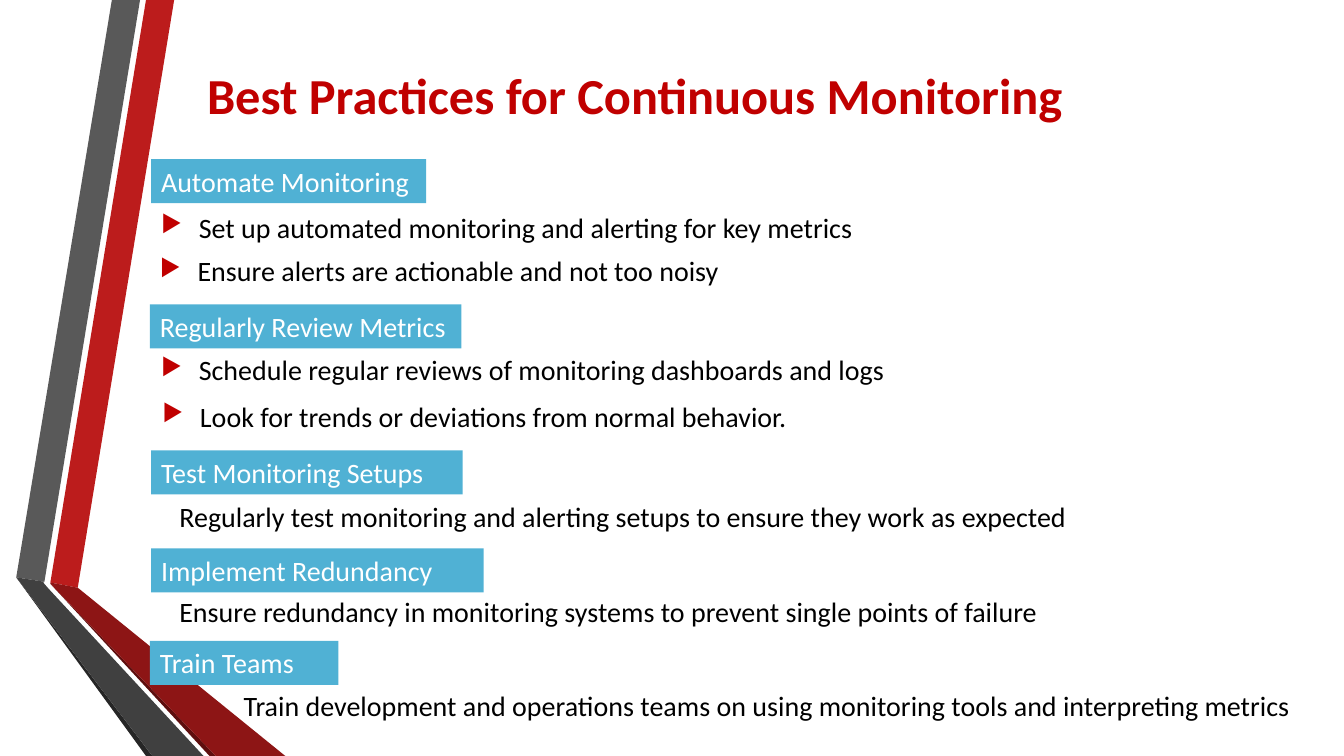
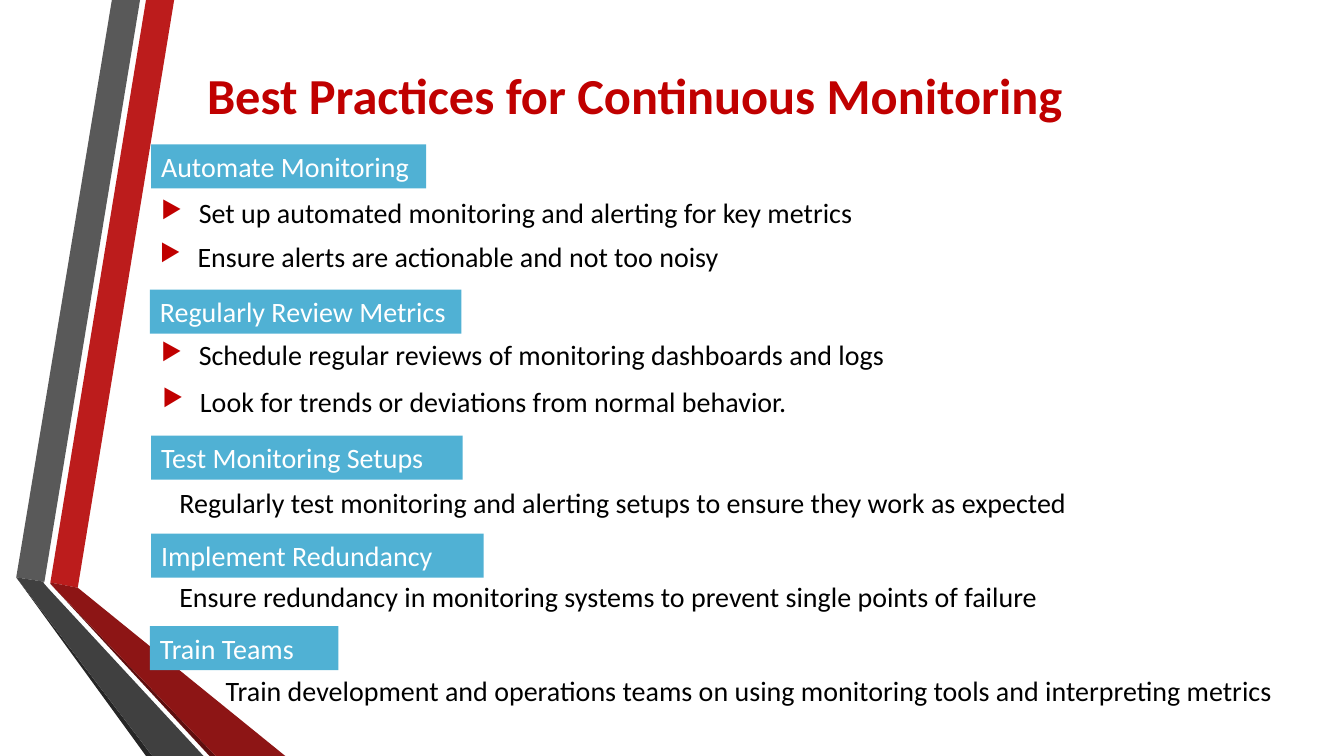
from lxml import etree
from pptx import Presentation
from pptx import util as u
from pptx.dml.color import RGBColor
from pptx.enum import shapes, text
from pptx.oxml.ns import qn

# Shared style, lengths in cm
FONT = "Calibri"
RED, BLUE, WHITE, BLACK = "C00000", "50B1D4", "FFFFFF", "000000"
TITLE = "Best Practices for Continuous Monitoring"
ROW_HEIGHT = 1.11
BULLET_INDENT = 0.95

# Ribbon bands on the left edge: colour and corner points
RIBBON = [
    ("BC1C1C", [(1.27, 14.68), (1.96, 14.81), (4.39, 0), (3.68, 0)]),
    ("595959", [(3.53, 0), (2.82, 0), (0.41, 14.55), (1.12, 14.66)]),
    ("262626", [(0.41, 14.55), (3.68, 19.05), (3.84, 19.05)]),
    ("5E0E0E", [(1.27, 14.71), (5.28, 19.05), (5.44, 19.05)]),
    ("8D1515", [(1.27, 14.68), (1.27, 14.71), (5.44, 19.05),
                (7.19, 19.05), (1.96, 14.81)]),
    ("404040", [(5.13, 19.05), (1.22, 14.83), (1.09, 14.68),
                (1.12, 14.66), (0.41, 14.55), (3.84, 19.05)]),
]

# Section labels and body lines: left, top, width, wording
LABELS = [
    (3.81, 4.01, 6.93, "Automate Monitoring"),
    (3.78, 7.67, 7.85, "Regularly Review Metrics"),
    (3.81, 11.35, 7.85, "Test Monitoring Setups"),
    (3.81, 13.82, 8.38, "Implement Redundancy"),
    (3.78, 16.15, 4.75, "Train Teams"),
]
BULLETS = [
    (3.81, 5.18, 18.29, "Set up automated monitoring and alerting for key metrics"),
    (3.78, 6.27, 14.78, "Ensure alerts are actionable and not too noisy"),
    (3.81, 8.76, 19.05, "Schedule regular reviews of monitoring dashboards and logs"),
    (3.84, 9.93, 16.48, "Look for trends or deviations from normal behavior."),
]
PLAIN_LINES = [
    (4.27, 12.47, 23.5, "Regularly test monitoring and alerting setups to ensure "
                        "they work as expected"),
    (4.27, 14.86, 22.56, "Ensure redundancy in monitoring systems to prevent "
                         "single points of failure"),
]
TRAINING_TOP, TRAINING_WIDTH = 17.22, 27.41
TRAINING = ("Train development and operations teams on using monitoring tools "
            "and interpreting metrics")

# Per slide: upward shift of the content, left edge of the training line
SLIDES = [(0, 5.89), (0.37, 5.44)]


def color(value):
    return RGBColor.from_string(value)


def paint(shape, fill):
    shape.fill.solid()
    shape.fill.fore_color.rgb = color(fill)
    shape.line.fill.background()
    shape.shadow.inherit = False


def write(box, words, ink, size=20, bold=False):
    frame = box.text_frame
    frame.word_wrap = True
    frame.vertical_anchor = text.MSO_ANCHOR.TOP
    frame.auto_size = text.MSO_AUTO_SIZE.SHAPE_TO_FIT_TEXT
    para = frame.paragraphs[0]
    para.text = words
    para.alignment = text.PP_ALIGN.LEFT
    para.font.name = FONT
    para.font.size = u.Pt(size)
    para.font.bold = bold
    para.font.color.rgb = color(ink)
    return para


def add_ribbon(page):
    for fill, points in RIBBON:
        corners = [(u.Cm(x), u.Cm(y)) for x, y in points]
        builder = page.shapes.build_freeform(*corners[0], scale=1)
        builder.add_line_segments(corners[1:], close=True)
        paint(builder.convert_to_shape(), fill)


def add_title(page):
    box = page.shapes.add_textbox(u.Cm(4.45), u.Cm(1.57), u.Cm(23.11), u.Cm(1.63))
    para = write(box, TITLE, RED, size=36, bold=True)
    para.alignment = text.PP_ALIGN.CENTER
    box.text_frame.auto_size = text.MSO_AUTO_SIZE.NONE
    box.text_frame.vertical_anchor = text.MSO_ANCHOR.MIDDLE


def add_label(page, left, top, width, words):
    box = page.shapes.add_shape(shapes.MSO_SHAPE.RECTANGLE, u.Cm(left), u.Cm(top),
                                u.Cm(width), u.Cm(ROW_HEIGHT))
    paint(box, BLUE)
    write(box, words, WHITE)


def add_line(page, left, top, width, words):
    box = page.shapes.add_textbox(u.Cm(left), u.Cm(top), u.Cm(width), u.Cm(ROW_HEIGHT))
    return write(box, words, BLACK)


def add_bullet(page, left, top, width, words):
    para = add_line(page, left, top, width, words)
    props = para._p.get_or_add_pPr()
    props.set("marL", str(u.Cm(BULLET_INDENT)))
    props.set("indent", str(-u.Cm(BULLET_INDENT)))
    # Bullet elements come before the paragraph's default run properties
    bullet_color = etree.Element(qn("a:buClr"))
    etree.SubElement(bullet_color, qn("a:srgbClr"), val=RED)
    bullet_size = etree.Element(qn("a:buSzPct"), val="85000")
    bullet_mark = etree.Element(qn("a:buChar"), char="▶")
    for position, element in enumerate((bullet_color, bullet_size, bullet_mark)):
        props.insert(position, element)


def add_practices(deck, shift, training_left):
    page = deck.slides.add_slide(deck.slide_layouts[6])
    add_ribbon(page)
    add_title(page)
    training = (training_left, TRAINING_TOP, TRAINING_WIDTH, TRAINING)
    groups = [(add_label, LABELS), (add_bullet, BULLETS),
              (add_line, PLAIN_LINES + [training])]
    for add_row, rows in groups:
        for left, top, width, words in rows:
            add_row(page, left, top - shift, width, words)


def main():
    deck = Presentation()
    deck.slide_width, deck.slide_height = u.Cm(33.87), u.Cm(19.05)
    for shift, training_left in SLIDES:
        add_practices(deck, shift, training_left)
    deck.save("out.pptx")


if __name__ == "__main__":
    main()
